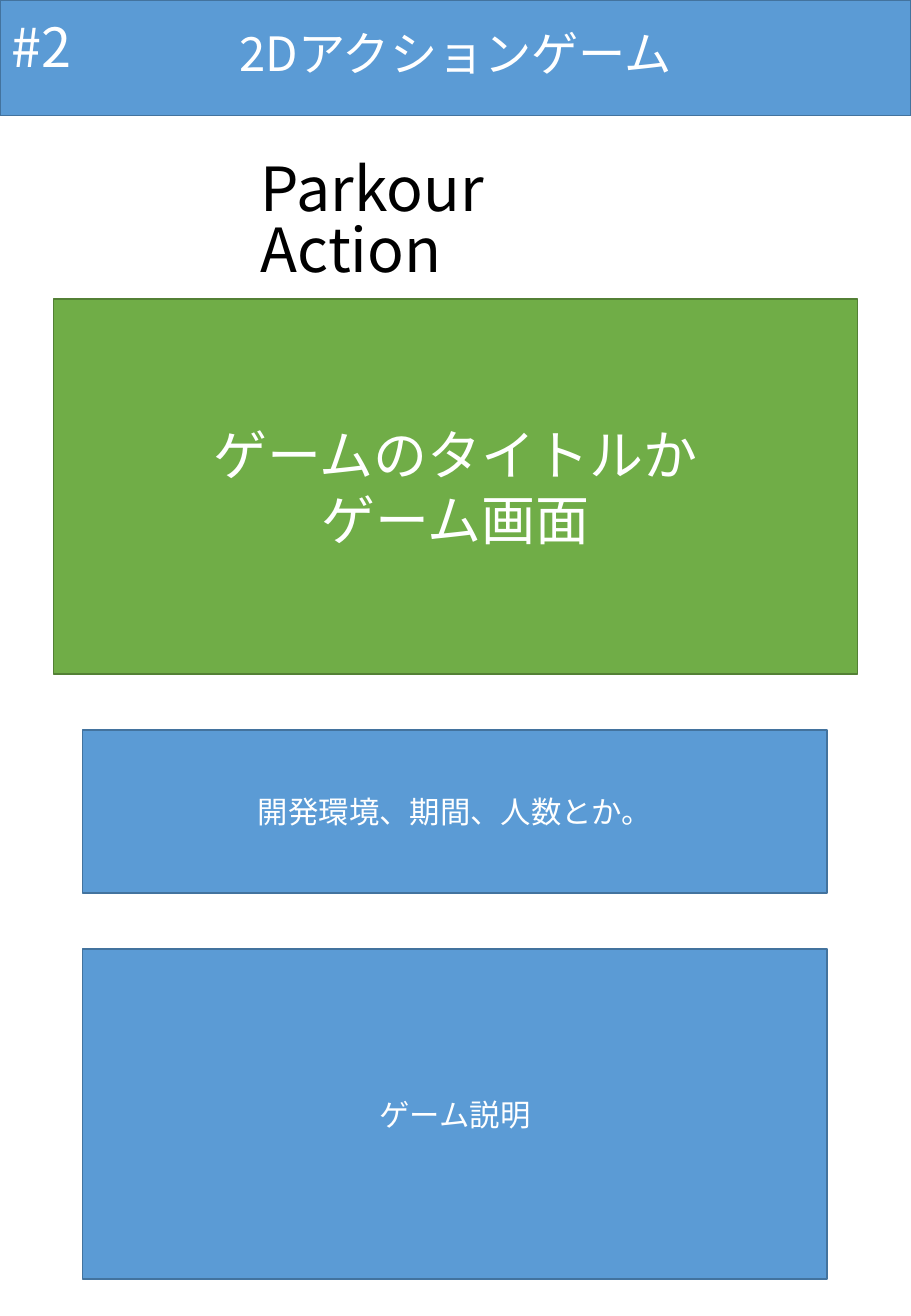
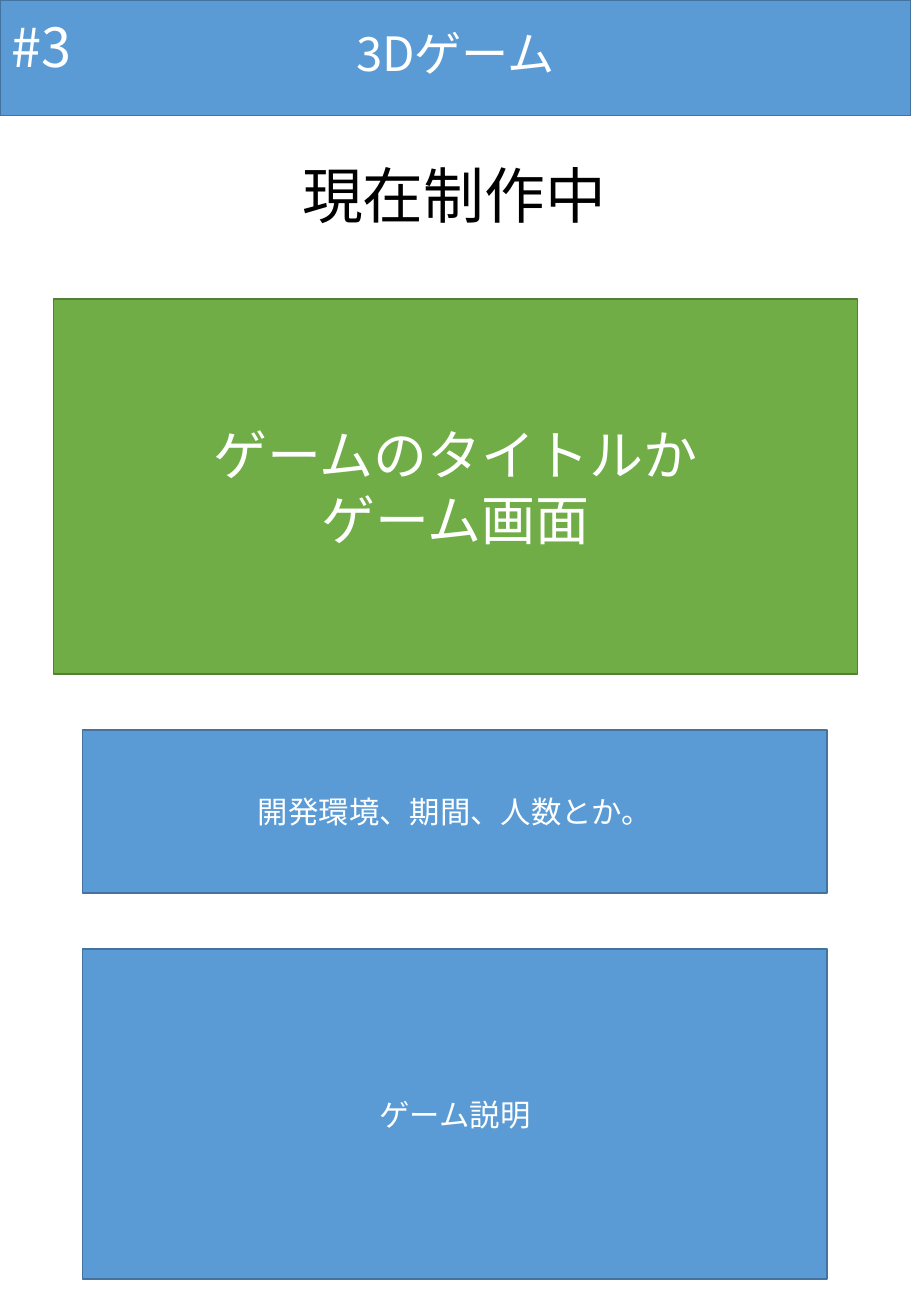
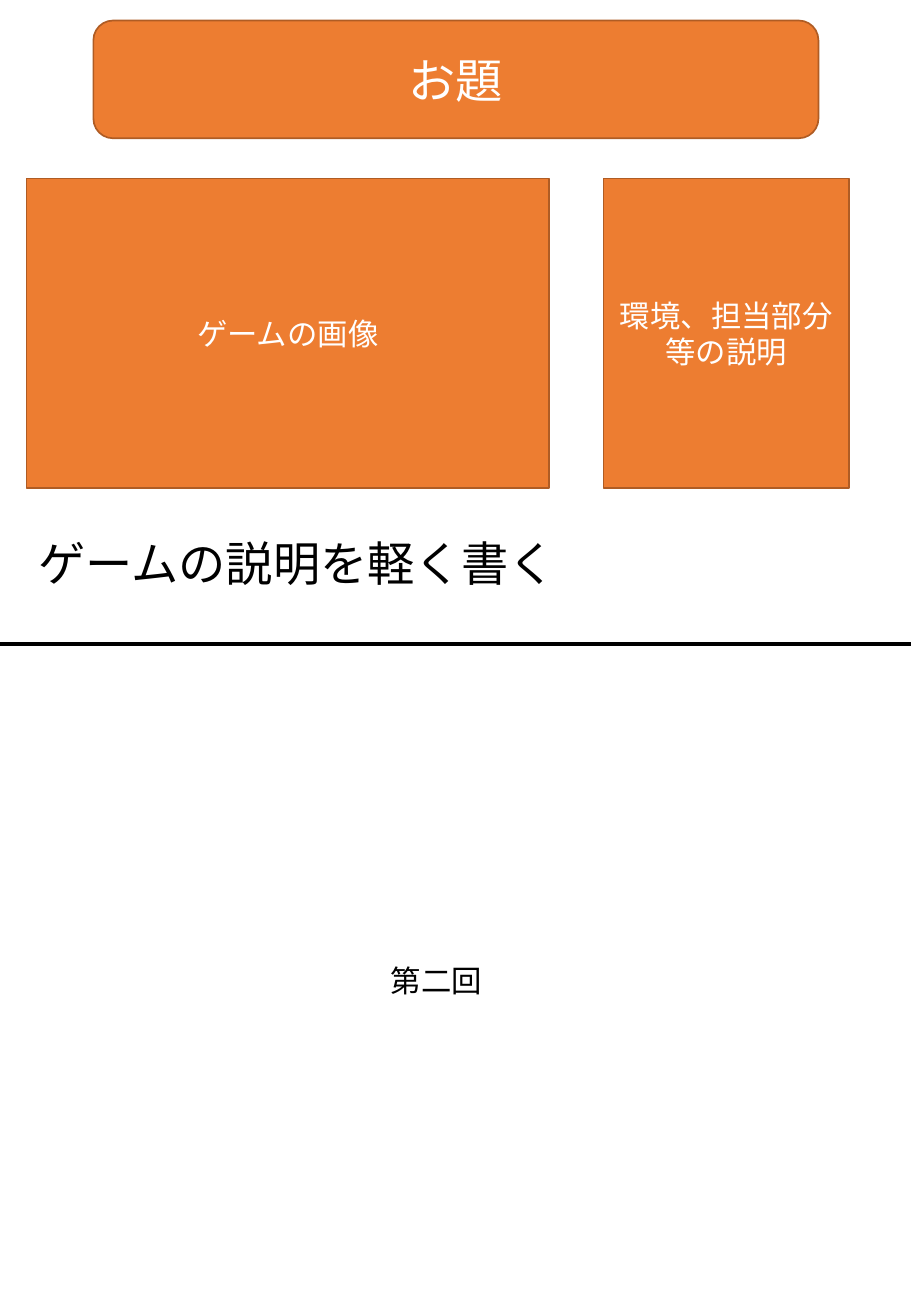
from dataclasses import dataclass

from lxml.etree import SubElement
from pptx import Presentation
from pptx.dml.color import RGBColor
from pptx.enum.lang import MSO_LANGUAGE_ID
from pptx.enum.shapes import MSO_CONNECTOR, MSO_SHAPE
from pptx.enum.text import MSO_ANCHOR, MSO_AUTO_SIZE, PP_ALIGN
from pptx.oxml.ns import qn
from pptx.shapes.base import BaseShape
from pptx.slide import Slide
from pptx.util import Pt

COLORS = {
    "blue": "5B9BD5", "blue_edge": "43739E",
    "green": "70AD47", "green_edge": "538035",
    "orange": "ED7D31", "orange_edge": "AF5C24",
    "white": "FFFFFF", "black": "000000",
}
BODY_FONT = "Calibri"
HEADING_FONT = "Noto Sans CJK JP"
# The heading font has tall lines; this brings them level with the body font.
LINE_SPACING = {BODY_FONT: 1.0, HEADING_FONT: 0.84}
PAGE_WIDTH, PAGE_HEIGHT = 540, 780


@dataclass(frozen=True)
class Area:
    """A rectangle on the page, in points."""
    left: float
    top: float
    width: float
    height: float


@dataclass(frozen=True)
class Words:
    """Lines of text, one paragraph each, in a single style."""
    lines: tuple[str, ...]
    size: float
    color: str = "white"
    font: str = BODY_FONT


@dataclass(frozen=True)
class Panel:
    """A filled shape with centred text."""
    area: Area
    color: str
    words: Words


@dataclass(frozen=True)
class Label:
    """Plain text with no fill."""
    area: Area
    words: Words


@dataclass(frozen=True)
class Game:
    """What differs between the game pages."""
    number: str
    genre: str
    name: Label


BAND = Area(0, 0, PAGE_WIDTH, 68.4)
NUMBER_AREA = Area(0, 10.8, 55.4, 46)
GAME_PANELS = (
    Panel(Area(49, 562.3, 441.4, 195.8), "blue", Words(("ゲーム説明",), 18)),
    Panel(Area(49, 432.7, 441.4, 96.5), "blue",
          Words(("開発環境、期間、人数とか。",), 18)),
    Panel(Area(31.7, 177.1, 476.6, 222.5), "green",
          Words(("ゲームのタイトルか", "ゲーム画面"), 32)),
)
GAMES = (
    Game("#2", "2Dアクションゲーム",
         Label(Area(147.6, 92.9, 244.8, 51.1),
               Words(("Parkour Action",), 36, "black", HEADING_FONT))),
    Game("#3", "3Dゲーム",
         Label(Area(172, 97.2, 196.8, 51.1),
               Words(("現在制作中",), 36, "black", HEADING_FONT))),
)

THEME_AREA = Area(55.4, 12.2, 429.8, 69.8)
THEME_PANELS = (
    Panel(Area(15.8, 105.8, 309.6, 183.6), "orange", Words(("ゲームの画像",), 18)),
    Panel(Area(357.8, 105.8, 145.4, 183.6), "orange",
          Words(("環境、担当部分等の説明",), 18)),
)
THEME_LABELS = (
    Label(Area(15.8, 313.2, 325.4, 41), Words(("ゲームの説明を軽く書く",), 28, "black")),
    Label(Area(224.6, 566.6, 69.1, 28.8), Words(("第二回",), 18, "black")),
)
DIVIDER_Y = 381.6


def rgb(name: str) -> RGBColor:
    """Look up a named colour."""
    return RGBColor.from_string(COLORS[name])


def lengths(area: Area) -> tuple[Pt, Pt, Pt, Pt]:
    """Give an area as lengths for the shape methods."""
    return Pt(area.left), Pt(area.top), Pt(area.width), Pt(area.height)


def write(box: BaseShape, words: Words, align: PP_ALIGN, anchor: MSO_ANCHOR) -> None:
    """Fill a shape's text frame with styled words."""
    frame = box.text_frame
    frame.word_wrap = True
    frame.auto_size = MSO_AUTO_SIZE.NONE
    frame.vertical_anchor = anchor
    for index, line in enumerate(words.lines):
        para = frame.add_paragraph() if index else frame.paragraphs[0]
        para.alignment = align
        para.line_spacing = LINE_SPACING[words.font]
        span = para.add_run()
        span.text = line
        span.font.size = Pt(words.size)
        span.font.name = words.font
        span.font.language_id = MSO_LANGUAGE_ID.JAPANESE
        span.font.color.rgb = rgb(words.color)
        east_asian = SubElement(span.font._element, qn("a:ea"))
        east_asian.set("typeface", words.font)


def paint(box: BaseShape, color: str) -> None:
    """Give a shape its fill and the matching edge."""
    box.fill.solid()
    box.fill.fore_color.rgb = rgb(color)
    box.line.color.rgb = rgb(f"{color}_edge")
    box.line.width = Pt(1)


def add_block(page: Slide, area: Area, color: str,
              kind: MSO_SHAPE = MSO_SHAPE.RECTANGLE) -> BaseShape:
    """Add a flat coloured shape."""
    box = page.shapes.add_shape(kind, *lengths(area))
    box.shadow.inherit = False
    paint(box, color)
    return box


def add_panel(page: Slide, panel: Panel) -> None:
    """Add a block with centred text."""
    box = add_block(page, panel.area, panel.color)
    write(box, panel.words, PP_ALIGN.CENTER, MSO_ANCHOR.MIDDLE)


def add_label(page: Slide, label: Label) -> None:
    """Add left-aligned plain text."""
    box = page.shapes.add_textbox(*lengths(label.area))
    write(box, label.words, PP_ALIGN.LEFT, MSO_ANCHOR.TOP)


def set_title(page: Slide, area: Area, text: str, font: str) -> BaseShape:
    """Move and format the title placeholder."""
    title = page.shapes.title
    title.left, title.top, title.width, title.height = lengths(area)
    write(title, Words((text,), 28, "white", font), PP_ALIGN.CENTER, MSO_ANCHOR.MIDDLE)
    return title


def add_divider(page: Slide, y: float) -> None:
    """Draw a line across the whole page."""
    line = page.shapes.add_connector(
        MSO_CONNECTOR.STRAIGHT, Pt(0), Pt(y), Pt(PAGE_WIDTH), Pt(y))
    line.line.color.rgb = rgb("black")
    line.line.width = Pt(2)
    SubElement(line._element.spPr, qn("a:effectLst"))


def build_game(page: Slide, game: Game) -> None:
    """Build a page that presents one game."""
    paint(set_title(page, BAND, game.genre, HEADING_FONT), "blue")
    add_label(page, Label(NUMBER_AREA, Words((game.number,), 32, "white", HEADING_FONT)))
    add_label(page, game.name)
    for panel in GAME_PANELS:
        add_panel(page, panel)


def build_theme(page: Slide) -> None:
    """Build the page split into two rounds."""
    add_divider(page, DIVIDER_Y)
    block = add_block(page, THEME_AREA, "orange", MSO_SHAPE.ROUNDED_RECTANGLE)
    title = set_title(page, THEME_AREA, "お題", BODY_FONT)
    block._element.addnext(title._element)  # lift the title above its block
    for panel in THEME_PANELS:
        add_panel(page, panel)
    for label in THEME_LABELS:
        add_label(page, label)


def main() -> None:
    """Build and save the deck."""
    deck = Presentation()
    deck.slide_width, deck.slide_height = Pt(PAGE_WIDTH), Pt(PAGE_HEIGHT)
    title_only = deck.slide_layouts[5]
    for game in GAMES:
        build_game(deck.slides.add_slide(title_only), game)
    build_theme(deck.slides.add_slide(title_only))
    deck.save("out.pptx")


main()
